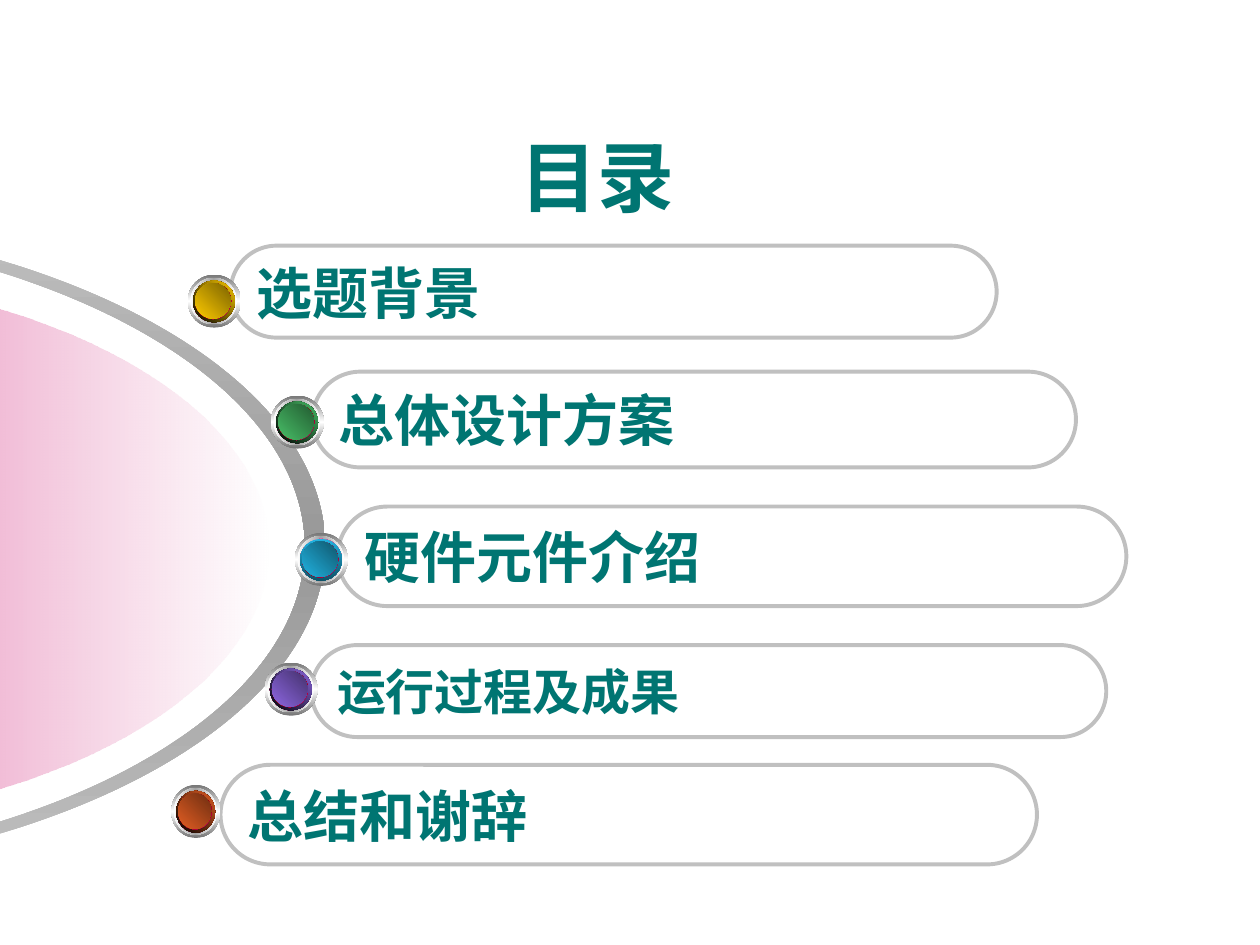
"""Build a contents slide: an arc on the left with five labelled beads."""
import lxml.etree
import pptx
import pptx.dml.color
import pptx.enum.shapes
import pptx.enum.text
import pptx.oxml.ns
import pptx.util

COLORS = {
    "teal": "007572", "silver": "C0C0C0", "gray": "989898", "pink": "CC0066",
    "maroon": "8A0000", "white": "FFFFFF", "black": "000000", "steel": "767676",
    "ash": "A2A2A2", "gold": "FFCC00", "gold_dark": "7C6300", "green": "48BE67",
    "green_dark": "235C32", "blue": "21B3E1", "blue_dark": "10576D", "blue_rim": "0F5368",
    "purple": "8D67E1", "purple_dark": "45326D", "orange": "E35E23", "orange_dark": "6E2E11",
}
ENTRIES = [
    ("选题背景", (1.83, 1.95, 6.08, 0.73), (1.49, 2.18, 0.42, 0.42), "gold", "Courier New", 32),
    ("总体设计方案", (2.48, 2.95, 6.06, 0.76), (2.15, 3.14, 0.42, 0.42), "green", "Times New Roman", 32),
    ("硬件元件介绍", (2.68, 4.02, 6.26, 0.79), (2.34, 4.23, 0.42, 0.42), "blue", "Courier New", 32),
    ("运行过程及成果", (2.47, 5.12, 6.31, 0.73), (2.10, 5.26, 0.42, 0.42), "purple", "Courier New", 28),
    ("总结和谢辞", (1.75, 6.07, 6.48, 0.79), (1.36, 6.23, 0.39, 0.42), "orange", "Courier New", 32),
]
RIMS = {"blue": (["blue", "blue_rim"], 90)}
KAPPA = 0.55


def rgb(name):
    """Return the named colour."""
    return pptx.dml.color.RGBColor.from_string(COLORS[name])


def inches(values):
    """Convert several lengths to inches."""
    return [pptx.util.Inches(value) for value in values]


def fill_gradient(shape, names, angle, alphas=None):
    """Give a shape evenly spaced gradient stops, a clockwise angle and no outline."""
    shape.shadow.inherit = False
    shape.line.fill.background()
    shape.fill.gradient()
    shape.fill.gradient_angle = (360 - angle) % 360
    qn = pptx.oxml.ns.qn
    stops = shape._element.spPr.find(".//" + qn("a:gsLst"))
    for stop in list(stops):
        stops.remove(stop)
    for index, name in enumerate(names):
        position = round(100000 * index / (len(names) - 1))
        stop = lxml.etree.SubElement(stops, qn("a:gs"), pos=str(position))
        color = lxml.etree.SubElement(stop, qn("a:srgbClr"), val=COLORS[name])
        if alphas:
            lxml.etree.SubElement(color, qn("a:alpha"), val=str(alphas[index] * 1000))


def write_text(shape, text, font, size, align, anchor, wrap):
    """Write one bold teal line into a shape."""
    frame = shape.text_frame
    frame.word_wrap = wrap
    frame.vertical_anchor = anchor
    para = frame.paragraphs[0]
    para.alignment = align
    span = para.add_run()
    span.text = text
    span.font.name = font
    span.font.size = pptx.util.Pt(size)
    span.font.bold = True
    span.font.color.rgb = rgb("teal")


def bulge(box):
    """Return the start and the six curve points of a right-bulging half ellipse."""
    left, top, width, height = box
    middle, right, bottom = top + height / 2, left + width, top + height
    pull_x, pull_y = left + width * KAPPA, height / 2 * KAPPA
    return [(left, top), (pull_x, top), (right, middle - pull_y), (right, middle),
            (right, middle + pull_y), (pull_x, bottom), (left, bottom)]


def add_outline(page, box, curves):
    """Add a closed outline that joins the given curves and fills a box."""
    left, top, width, height = box
    right, bottom = left + width, top + height
    corners = [inches(point) for point in ((right, top), (right, bottom), (left, bottom))]
    builder = page.shapes.build_freeform(*inches((left, top)))
    builder.add_line_segments(corners, close=True)
    shape = builder.convert_to_shape()
    qn = pptx.oxml.ns.qn
    outline = shape._element.spPr.find(".//" + qn("a:pathLst"))[0]
    for part in list(outline):
        outline.remove(part)

    def add_part(tag, points):
        """Append one drawing step."""
        part = lxml.etree.SubElement(outline, qn(tag))
        for x, y in points:
            across, down = inches((x - left, y - top))
            lxml.etree.SubElement(part, qn("a:pt"), x=str(across), y=str(down))

    for index, curve in enumerate(curves):
        add_part("a:lnTo" if index else "a:moveTo", curve[:1])
        add_part("a:cubicBezTo", curve[1:4])
        add_part("a:cubicBezTo", curve[4:])
    add_part("a:close", [])
    return shape


def add_arc(page, box):
    """Add the grey band and the pink dome inside it."""
    left, top, width, height = box
    inner = (left, top + 0.08, width - 0.16, height - 0.16)
    band = add_outline(page, box, [bulge(box), bulge(inner)[::-1]])
    fill_gradient(band, ["silver", "gray", "silver"], 270)
    dome_box = (left + 0.47, top + 0.45, width - 0.92, height - 0.87)
    dome = add_outline(page, dome_box, [bulge(dome_box)])
    fill_gradient(dome, ["pink", "white"], 0, alphas=[56, 48])


def add_pill(page, box, text, font, size):
    """Add a rounded outline with its label."""
    pill = page.shapes.add_shape(pptx.enum.shapes.MSO_SHAPE.ROUNDED_RECTANGLE, *inches(box))
    pill.adjustments[0] = 0.5
    pill.shadow.inherit = False
    pill.fill.background()
    pill.line.color.rgb = rgb("silver")
    pill.line.width = pptx.util.Pt(2.24)
    write_text(pill, text, font, size, pptx.enum.text.PP_ALIGN.LEFT,
               pptx.enum.text.MSO_ANCHOR.MIDDLE, False)


def add_bead(page, box, tint):
    """Add a bead of nested discs in the given tint."""
    left, top, width, height = box
    rim, rim_angle = RIMS.get(tint, (["black", tint], 315))
    discs = [
        (0, 0, 1, ["steel", "white", "steel"], 90),
        (0.05, 0.06, 0.88, ["white", "ash", "white"], 0),
        (0.1, 0.11, 0.79, ["pink", "white", "pink"], 315),
        (0.1, 0.11, 0.79, rim, rim_angle),
        (0.14, 0.16, 0.68, ["pink", "maroon", "pink"], 45),
        (0.14, 0.16, 0.67, [tint, tint + "_dark"], 315),
    ]
    group = page.shapes.add_group_shape()
    for inset_x, inset_y, share, names, angle in discs:
        place = (left + width * inset_x, top + height * inset_y, width * share, height * share)
        disc = group.shapes.add_shape(pptx.enum.shapes.MSO_SHAPE.OVAL, *inches(place))
        fill_gradient(disc, names, angle)


def add_contents(page):
    """Add the title, the arc and all entries."""
    title = page.shapes.add_textbox(*inches((0.83, 0.89, 7.82, 0.92)))
    write_text(title, "目录", "Arial", 44, pptx.enum.text.PP_ALIGN.CENTER,
               pptx.enum.text.MSO_ANCHOR.BOTTOM, True)
    add_arc(page, (-2.64, 1.7, 5.22, 5.28))
    for text, pill_box, bead_box, tint, font, size in reversed(ENTRIES):
        add_pill(page, pill_box, text, font, size)
    for text, pill_box, bead_box, tint, font, size in ENTRIES:
        add_bead(page, bead_box, tint)


deck = pptx.Presentation()
deck.slide_width, deck.slide_height = inches((10, 7.5))
add_contents(deck.slides.add_slide(deck.slide_layouts[6]))
deck.save("out.pptx")
